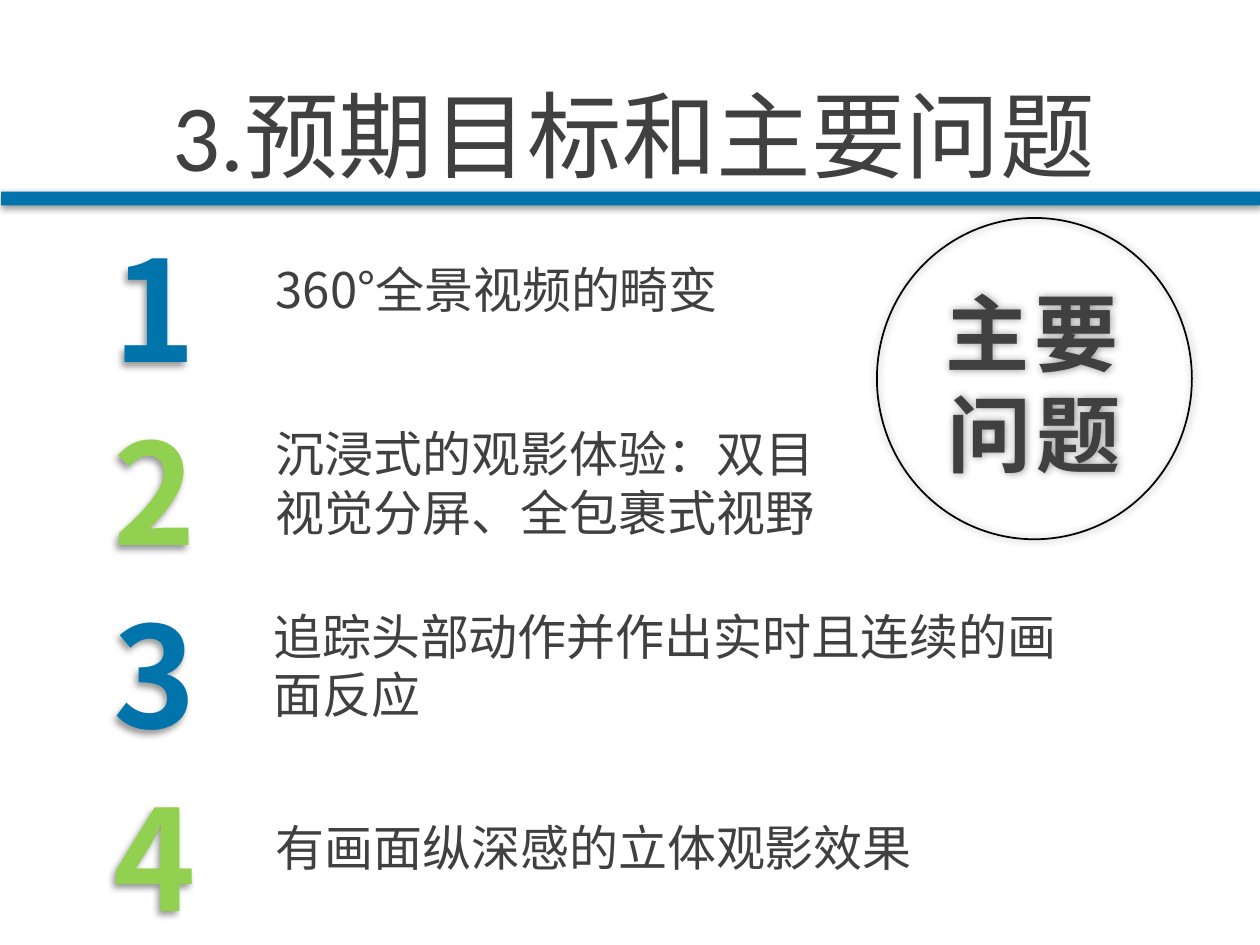
from lxml import etree
from pptx import Presentation
from pptx.dml.color import RGBColor
from pptx.enum.shapes import MSO_SHAPE as Shape
from pptx.enum.text import MSO_ANCHOR as Anchor, MSO_AUTO_SIZE as AutoSize, PP_ALIGN as Align
from pptx.oxml.ns import qn
from pptx.util import Inches, Pt

BLUE = RGBColor(0x01, 0x74, 0xAB)
GREEN = RGBColor(0x92, 0xD1, 0x4F)
GREY = RGBColor(0x40, 0x40, 0x40)
BLACK = RGBColor(0, 0, 0)
CJK_FONT = "Noto Sans CJK SC"


def add_shadow(shape, blur, distance, angle):
    """Give a shape a soft black shadow; lengths in points, angle in degrees."""
    shape.shadow.inherit = False
    effects = shape._element.spPr.find(qn("a:effectLst"))
    outer = etree.SubElement(effects, qn("a:outerShdw"), blurRad=str(Pt(blur)),
                             dist=str(Pt(distance)), dir=str(angle * 60000),
                             algn="ctr", rotWithShape="0")
    color = etree.SubElement(outer, qn("a:srgbClr"), val=str(BLACK))
    etree.SubElement(color, qn("a:alpha"), val="40000")


class GoalSlide:
    """Holds the slide and its text style."""

    def __init__(self, deck):
        """Start a title-only slide."""
        self.slide = deck.slides.add_slide(deck.slide_layouts[5])

    def set_text(self, shape, text, size, color=GREY, font=CJK_FONT,
                 align=Align.LEFT, anchor=Anchor.TOP, bold=False, spacing=0):
        """Fill a shape with one formatted paragraph."""
        frame = shape.text_frame
        frame.text = text
        frame.word_wrap = True
        frame.auto_size = AutoSize.NONE
        frame.vertical_anchor = anchor
        frame.margin_left = frame.margin_right = Inches(0.1)
        frame.margin_top = Pt(3.6 + 0.08 * size)
        frame.margin_bottom = Inches(0.05)
        paragraph = frame.paragraphs[0]
        paragraph.alignment = align
        paragraph.line_spacing = Pt(1.2 * size)
        run = paragraph.runs[0]
        run.font.size = Pt(size)
        run.font.name = font
        run.font.bold = bold
        run.font.color.rgb = color
        properties = run._r.get_or_add_rPr()
        etree.SubElement(properties, qn("a:ea"), typeface=CJK_FONT)
        if spacing:
            properties.set("spc", str(spacing * 100))

    def title(self, text, left, top, width, height):
        """Place the heading in the title placeholder."""
        heading = self.slide.shapes.title
        heading.left, heading.top = Inches(left), Inches(top)
        heading.width, heading.height = Inches(width), Inches(height)
        self.set_text(heading, text, 54, font="Calibri", align=Align.CENTER)

    def text(self, text, left, top, width, height, size=28, **style):
        """Add a text box."""
        box = self.slide.shapes.add_textbox(
            Inches(left), Inches(top), Inches(width), Inches(height))
        self.set_text(box, text, size, **style)
        return box

    def number(self, text, top, color):
        """Add a large shadowed numeral."""
        numeral = self.text(text, 0.62, top, 1.22, 1.45, size=80, color=color,
                            align=Align.CENTER, bold=True)
        add_shadow(numeral, 4, 3, 135)

    def rule(self, left, top, width, height):
        """Add the bar under the heading."""
        bar = self.slide.shapes.add_shape(
            Shape.RECTANGLE, Inches(left), Inches(top), Inches(width), Inches(height))
        bar.fill.solid()
        bar.fill.fore_color.rgb = BLUE
        bar.line.fill.background()
        add_shadow(bar, 4, 1, 90)

    def badge(self, text, left, top, width, height):
        """Add the outlined circle with its label."""
        circle = self.slide.shapes.add_shape(
            Shape.OVAL, Inches(left), Inches(top), Inches(width), Inches(height))
        circle.fill.background()
        circle.line.color.rgb = BLACK
        circle.line.width = Pt(1)
        add_shadow(circle, 5, 0, 0)
        self.set_text(circle, text, 48, align=Align.CENTER, anchor=Anchor.MIDDLE,
                      bold=True, spacing=3)


PROBLEMS = [
    ("360°全景视频的畸变", 2.09, 1.98, 6.69, 0.57),
    ("沉浸式的观影体验：双目视觉分屏、全包裹式视野", 2.09, 3.28, 4.72, 1.04),
    ("追踪头部动作并作出实时且连续的画面反应", 2.07, 4.73, 6.72, 1.04),
    ("有画面纵深感的立体观影效果", 2.09, 6.41, 6.44, 0.57),
]


def main():
    """Build and save the slide."""
    deck = Presentation()
    deck.slide_width, deck.slide_height = Inches(10), Inches(7.5)
    page = GoalSlide(deck)
    page.rule(0.01, 1.52, 10, 0.11)
    page.title("3.预期目标和主要问题", 0.06, 0.5, 9.94, 1.01)
    for index, problem in enumerate(PROBLEMS):
        page.number(str(index + 1), 1.63 + 1.45 * index, (BLUE, GREEN)[index % 2])
        page.text(*problem)
    page.badge("主要问题", 6.96, 1.73, 2.5, 2.55)
    deck.save("out.pptx")


main()
